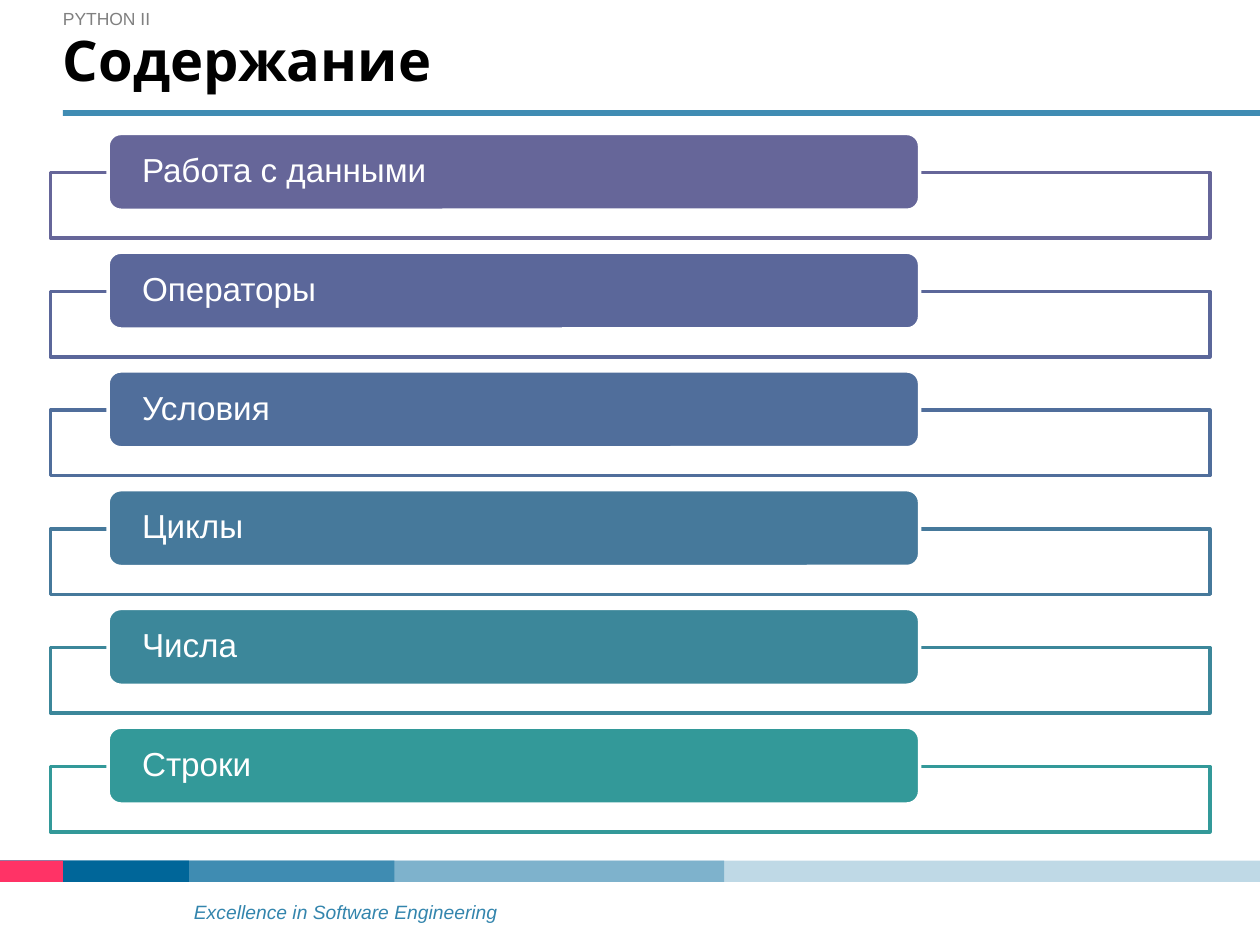
"""Build the contents slide with six framed topics."""
from dataclasses import dataclass

from pptx import Presentation
from pptx.dml.color import RGBColor
from pptx.enum.shapes import MSO_SHAPE
from pptx.enum.text import MSO_ANCHOR, PP_ALIGN
from pptx.util import Cm, Length, Pt

RECT, ROUND = MSO_SHAPE.RECTANGLE, MSO_SHAPE.ROUNDED_RECTANGLE
TOP, MIDDLE = MSO_ANCHOR.TOP, MSO_ANCHOR.MIDDLE
LEFT = PP_ALIGN.LEFT

WHITE = RGBColor(0xFF, 0xFF, 0xFF)
BLACK = RGBColor(0x00, 0x00, 0x00)
GREY = RGBColor(0x80, 0x80, 0x80)
FOOTER_BLUE = RGBColor(0x33, 0x85, 0xAD)
RULE_BLUE = RGBColor(0x40, 0x8C, 0xB3)
PALE_BLUE = RGBColor(0xBF, 0xD9, 0xE6)
LIGHT_BLUE = RGBColor(0x7E, 0xB2, 0xCC)
MID_BLUE = RGBColor(0x3F, 0x8C, 0xB2)
DEEP_BLUE = RGBColor(0x00, 0x66, 0x99)
PINK = RGBColor(0xFF, 0x33, 0x66)
VIOLET = RGBColor(0x66, 0x66, 0x99)
INDIGO = RGBColor(0x5B, 0x67, 0x9A)
STEEL = RGBColor(0x50, 0x6E, 0x9B)
OCEAN = RGBColor(0x46, 0x79, 0x9B)
LAGOON = RGBColor(0x3C, 0x87, 0x9A)
TEAL = RGBColor(0x33, 0x99, 0x99)

ROW_PITCH = 2.394


@dataclass
class Box:
    """Position and size in centimetres."""
    left: float
    top: float
    width: float
    height: float

    def lengths(self) -> list[Length]:
        """Return the four values as lengths."""
        return [Cm(v) for v in (self.left, self.top, self.width, self.height)]


@dataclass
class Topic:
    """One row of the contents."""
    text: str
    color: RGBColor


@dataclass
class Band:
    """One strip of the footer bar, measured from the left edge."""
    width: float
    color: RGBColor


TOPICS = [
    Topic("Работа с данными", VIOLET),
    Topic("Операторы", INDIGO),
    Topic("Условия", STEEL),
    Topic("Циклы", OCEAN),
    Topic("Числа", LAGOON),
    Topic("Строки", TEAL),
]
BANDS = [
    Band(25.4, PALE_BLUE),
    Band(14.6, LIGHT_BLUE),
    Band(7.95, MID_BLUE),
    Band(3.81, DEEP_BLUE),
    Band(1.27, PINK),
]


def add_box(s, kind, box: Box, fill: RGBColor, line: RGBColor | None = None):
    """Add a filled preset shape with an optional outline."""
    sp = s.shapes.add_shape(kind, *box.lengths())
    sp.shadow.inherit = False
    sp.fill.solid()
    sp.fill.fore_color.rgb = fill
    if line is None:
        sp.line.fill.background()
    else:
        sp.line.color.rgb = line
        sp.line.width = Pt(2)
    return sp


def set_text(sp, text: str, color: RGBColor, font: dict, frame: dict,
             spacing: float | Length = 1.0) -> None:
    """Write one left-aligned paragraph into a shape."""
    tf = sp.text_frame
    for name, value in {"word_wrap": True, **frame}.items():
        setattr(tf, name, value)
    p = tf.paragraphs[0]
    p.alignment = LEFT
    p.line_spacing = spacing
    r = p.add_run()
    r.text = text
    for name, value in {"name": "Arial", **font}.items():
        setattr(r.font, name, value)
    r.font.color.rgb = color


def add_text(s, box: Box, *args) -> None:
    """Add a text box with one paragraph."""
    set_text(s.shapes.add_textbox(*box.lengths()), *args)


def add_topic(s, topic: Topic, row: int) -> None:
    """Add the frame and the label of one topic."""
    offset = row * ROW_PITCH
    add_box(s, RECT, Box(1.02, 3.48 + offset, 23.37, 1.32), WHITE, topic.color)
    label = add_box(s, ROUND, Box(2.18, 2.69 + offset, 16.36, 1.55),
                    topic.color, WHITE)
    set_text(label, topic.text, WHITE, {"size": Pt(19)},
             {"vertical_anchor": MIDDLE, "margin_left": Cm(0.61),
              "margin_right": Cm(0.61), "margin_top": 0, "margin_bottom": 0},
             0.9)


def main() -> None:
    """Build and save the slide."""
    prs = Presentation()
    prs.slide_width, prs.slide_height = Cm(25.4), Cm(19.05)
    s = prs.slides.add_slide(prs.slide_layouts[6])

    add_text(s, Box(3.66, 18.24, 7.26, 0.38),
             "Excellence in Software Engineering", FOOTER_BLUE,
             {"size": Pt(11), "italic": True},
             {"margin_top": 0, "margin_bottom": 0}, 0.8)
    for band in BANDS:
        add_box(s, RECT, Box(0, 17.35, band.width, 0.43), band.color)

    add_text(s, Box(1.02, 0, 24.33, 0.76), "PYTHON II", GREY,
             {"size": Pt(10)}, {"vertical_anchor": MIDDLE})
    for row, topic in enumerate(TOPICS):
        add_topic(s, topic, row)

    add_box(s, RECT, Box(1.27, 2.22, 24.13, 0.12), RULE_BLUE)
    add_text(s, Box(1.27, 0.76, 24.13, 1.57), "Содержание", BLACK,
             {"name": "Cabin", "size": Pt(32), "bold": True},
             {"vertical_anchor": TOP, "margin_left": 0,
              "margin_top": Cm(0.13), "margin_bottom": Cm(0.38)}, Pt(28))

    prs.save("out.pptx")


main()
